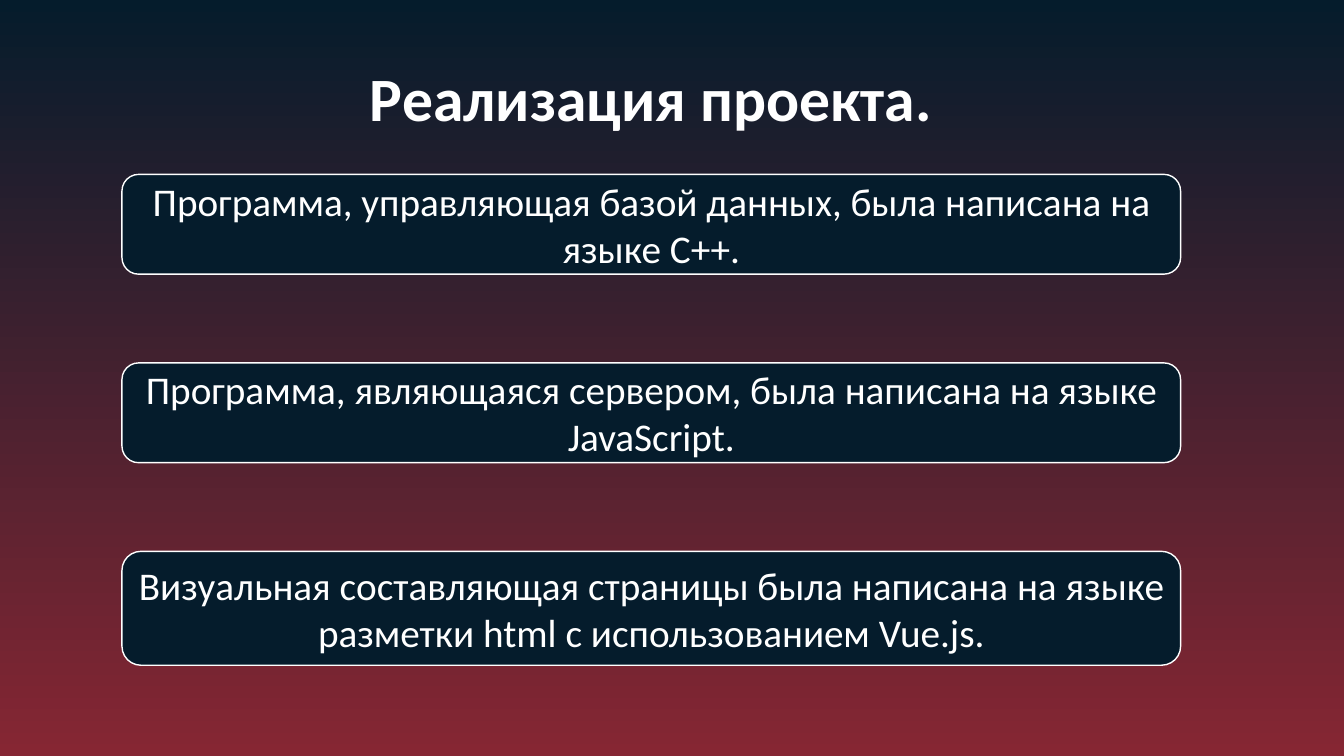
from dataclasses import dataclass

from pptx import Presentation
from pptx import util as u
from pptx.dml import color
from pptx.enum import shapes, text
from pptx.slide import Slide
from pptx.text.text import TextFrame

WIDTH, HEIGHT = 13.33, 7.5
FONT = "Calibri"
COLOURS = {"navy": "051C2C", "crimson": "862633", "white": "FFFFFF"}
CARD_LEFT, CARD_WIDTH = 1.21, 10.5
FIRST_TOP, ROW_PITCH = 1.73, 1.87


@dataclass(frozen=True)
class Card:
    """A rounded statement box on one row of the column."""

    row: int
    height: float
    wording: str


CARDS = [
    Card(0, 0.99, "Программа, управляющая базой данных, была написана на языке C++."),
    Card(1, 0.99, "Программа, являющаяся сервером, была написана на языке JavaScript."),
    Card(2, 1.13, "Визуальная составляющая страницы была написана на языке "
                  "разметки html с использованием Vue.js."),
]


def rgb(name: str) -> color.RGBColor:
    """Return a named colour of the slide."""
    return color.RGBColor.from_string(COLOURS[name])


def write(frame: TextFrame, wording: str, size: float, bold: bool = False) -> None:
    """Write one centred white paragraph."""
    frame.word_wrap = True
    frame.vertical_anchor = text.MSO_ANCHOR.MIDDLE
    para = frame.paragraphs[0]
    para.text = wording
    para.alignment = text.PP_ALIGN.CENTER
    para.font.name = FONT
    para.font.size = u.Pt(size)
    para.font.bold = bold
    para.font.color.rgb = rgb("white")


def paint_background(page: Slide) -> None:
    """Fill the page with a gradient running from top to bottom."""
    fill = page.background.fill
    fill.gradient()
    fill.gradient_angle = 270
    for stop, name in zip(fill.gradient_stops, ("navy", "crimson")):
        stop.color.rgb = rgb(name)


def add_title(page: Slide, wording: str) -> None:
    """Add the heading above the cards."""
    box = page.shapes.add_textbox(
        u.Inches(0.71), u.Inches(0.28), u.Inches(11.5), u.Inches(1.45)
    )
    write(box.text_frame, wording, 44, bold=True)
    box.text_frame.paragraphs[0].line_spacing = 0.9


def add_card(page: Slide, card: Card) -> None:
    """Add one rounded card on its row."""
    box = page.shapes.add_shape(
        shapes.MSO_SHAPE.ROUNDED_RECTANGLE,
        u.Inches(CARD_LEFT),
        u.Inches(FIRST_TOP + card.row * ROW_PITCH),
        u.Inches(CARD_WIDTH),
        u.Inches(card.height),
    )
    box.shadow.inherit = False
    box.fill.solid()
    box.fill.fore_color.rgb = rgb("navy")
    box.line.color.rgb = rgb("white")
    box.line.width = u.Pt(1)
    write(box.text_frame, card.wording, 28)


def main() -> None:
    """Build and save the slide."""
    deck = Presentation()
    deck.slide_width, deck.slide_height = u.Inches(WIDTH), u.Inches(HEIGHT)
    page = deck.slides.add_slide(deck.slide_layouts[6])
    paint_background(page)
    add_title(page, "Реализация проекта.")
    for card in CARDS:
        add_card(page, card)
    deck.save("out.pptx")


if __name__ == "__main__":
    main()
